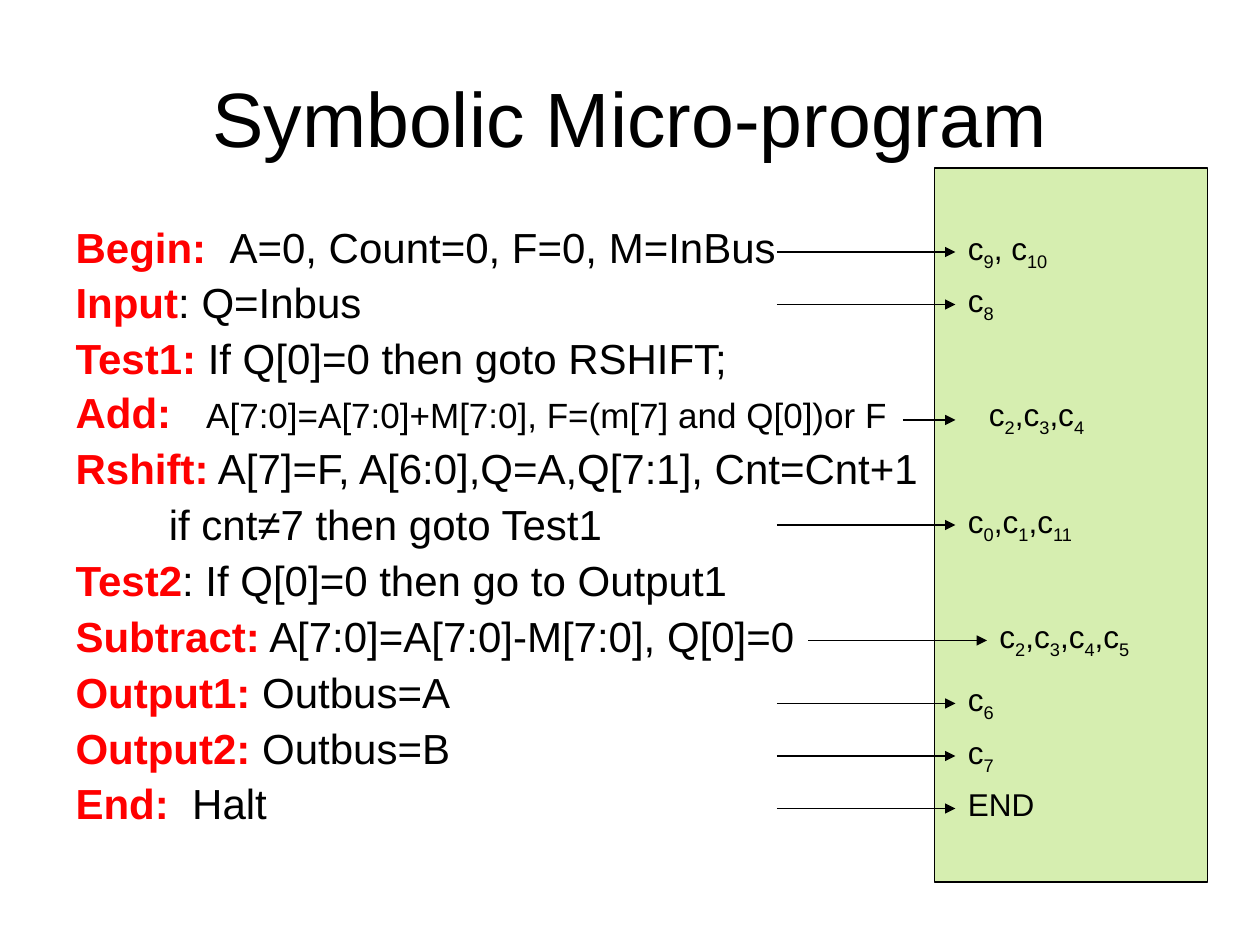
"""Build the slide that lists a symbolic micro-program with its control signals."""
from dataclasses import dataclass

from lxml import etree
from pptx import Presentation
from pptx.dml.color import RGBColor
from pptx.enum.shapes import MSO_CONNECTOR, MSO_SHAPE
from pptx.enum.text import MSO_ANCHOR, MSO_AUTO_SIZE, PP_ALIGN
from pptx.oxml.ns import qn
from pptx.shapes.autoshape import Shape
from pptx.shapes.shapetree import GroupShapes, SlideShapes
from pptx.slide import Slide
from pptx.text.text import Font, TextFrame
from pptx.util import Pt

STRAIGHT = MSO_CONNECTOR.STRAIGHT
RECT = MSO_SHAPE.RECTANGLE
TOP, MIDDLE = MSO_ANCHOR.TOP, MSO_ANCHOR.MIDDLE
FIXED = MSO_AUTO_SIZE.NONE
LEFT, CENTER = PP_ALIGN.LEFT, PP_ALIGN.CENTER


@dataclass(frozen=True)
class Theme:
    """Colours, face and type sizes."""
    ink: RGBColor = RGBColor(0, 0, 0)
    label: RGBColor = RGBColor(0xFF, 0, 0)
    panel: RGBColor = RGBColor(0xD6, 0xEE, 0xB0)
    face: str = "Arial"
    title: float = 44
    code: float = 24
    small: float = 20
    signal: float = 18
    stroke: float = 0.75


THEME = Theme()


@dataclass(frozen=True)
class Step:
    """One program line; a gap widens the space after the label by that many points."""
    label: str
    code: str
    size: float = THEME.code
    gap: float = 0
    indent: float = 0


@dataclass(frozen=True)
class Signal:
    """One arrow and its signals, with bars around each subscript."""
    text: str
    y: float
    start: float = 444
    tip: float = 546
    left: float = 546
    width: float = 132
    rise: float = 16.75
    group: bool = True


STEPS = (
    Step("Begin:", "A=0, Count=0, F=0, M=InBus", gap=6.67),
    Step("Input", ": Q=Inbus"),
    Step("Test1:", " If Q[0]=0 then goto RSHIFT;"),
    Step("Add:", "A[7:0]=A[7:0]+M[7:0], F=(m[7] and Q[0])or F", THEME.small, gap=13.33),
    Step("Rshift:", " A[7]=F, A[6:0],Q=A,Q[7:1], Cnt=Cnt+1"),
    Step("", "if cnt≠7 then goto Test1", indent=53.3),
    Step("Test2", ": If Q[0]=0 then go to Output1"),
    Step("Subtract:", " A[7:0]=A[7:0]-M[7:0], Q[0]=0"),
    Step("Output1:", " Outbus=A"),
    Step("Output2:", " Outbus=B"),
    Step("End:", "Halt", gap=6.67),
)

SIGNALS = (
    Signal("c|9|, c|10", 144),
    Signal("c|8", 174),
    Signal("c|0|,c|1|,c|11", 300),
    Signal("c|2|,c|3|,c|4|,c|5", 366, start=462, tip=564, left=564),
    Signal("c|6", 402),
    Signal("c|7", 432),
    Signal("END", 462),
    Signal("c|2|,c|3|,c|4", 240, start=516, left=558, width=90, rise=18, group=False),
)


def style(font: Font, size: float) -> None:
    """Set the face, size and ink of a font."""
    font.name = THEME.face
    font.size = Pt(size)
    font.color.rgb = THEME.ink


def place(shape: Shape, left: float, top: float, width: float, height: float) -> None:
    """Move and size a shape."""
    shape.left, shape.top = Pt(left), Pt(top)
    shape.width, shape.height = Pt(width), Pt(height)


def draw_title(slide: Slide) -> None:
    """Fill the title."""
    title = slide.shapes.title
    place(title, 36, 21.6, 648, 90)
    frame = title.text_frame
    frame.text = "Symbolic Micro-program"
    frame.auto_size = FIXED
    frame.vertical_anchor = MIDDLE
    line = frame.paragraphs[0]
    line.alignment = CENTER
    style(line.font, THEME.title)


def write_step(frame: TextFrame, row: int, step: Step) -> None:
    """Write one program line in the list."""
    line = frame.add_paragraph() if row else frame.paragraphs[0]
    props = line._p.get_or_add_pPr()
    props.set("marL", str(Pt(step.indent)))
    props.set("indent", "0")
    etree.SubElement(props, qn("a:buNone"))
    line.alignment = LEFT
    line.line_spacing = 0.9
    line.space_before = Pt(step.size / 4)
    style(line.font, THEME.code)
    if step.label:
        label = line.add_run()
        label.text = step.label
        label.font.bold = True
        label.font.color.rgb = THEME.label
    if step.gap:
        space = line.add_run()
        space.text = " "
        space._r.get_or_add_rPr().set("spc", str(round(step.gap * 100)))
    code = line.add_run()
    code.text = step.code
    if step.size != THEME.code:
        code.font.size = Pt(step.size)


def draw_steps(slide: Slide) -> None:
    """Fill the body with the program."""
    body = slide.placeholders[1]
    place(body, 36, 126, 534, 356.4)
    frame = body.text_frame
    frame.auto_size = FIXED
    frame.vertical_anchor = TOP
    for row, step in enumerate(STEPS):
        write_step(frame, row, step)


def draw_panel(slide: Slide) -> None:
    """Draw the panel behind the signals."""
    panel = slide.shapes.add_shape(RECT, Pt(534), Pt(96), Pt(156), Pt(408))
    panel.shadow.inherit = False
    panel.fill.solid()
    panel.fill.fore_color.rgb = THEME.panel
    panel.line.color.rgb = THEME.ink
    panel.line.width = Pt(THEME.stroke)


def draw_text(shapes: SlideShapes | GroupShapes, signal: Signal) -> None:
    """Write the signals with their subscripts."""
    box = shapes.add_textbox(Pt(signal.left), Pt(signal.y - signal.rise),
                             Pt(signal.width), Pt(31.7))
    frame = box.text_frame
    frame.word_wrap = True
    line = frame.paragraphs[0]
    line.space_before = Pt(11.2)
    style(line.font, THEME.signal)
    for part, text in enumerate(signal.text.split("|")):
        run = line.add_run()
        run.text = text
        if part % 2:
            run._r.get_or_add_rPr().set("baseline", "-25000")


def draw_arrow(shapes: SlideShapes | GroupShapes, signal: Signal) -> None:
    """Draw the arrow that leads to the signals."""
    arrow = shapes.add_connector(STRAIGHT, Pt(signal.start), Pt(signal.y),
                                 Pt(signal.tip), Pt(signal.y))
    arrow.line.color.rgb = THEME.ink
    arrow.line.width = Pt(THEME.stroke)
    etree.SubElement(arrow.line._get_or_add_ln(), qn("a:tailEnd"), type="triangle")
    etree.SubElement(arrow._element.spPr, qn("a:effectLst"))


def main() -> None:
    """Build and save the deck."""
    deck = Presentation()
    deck.slide_width, deck.slide_height = Pt(720), Pt(540)
    slide = deck.slides.add_slide(deck.slide_layouts[1])
    draw_title(slide)
    draw_steps(slide)
    draw_panel(slide)
    for signal in SIGNALS:
        shapes = slide.shapes.add_group_shape().shapes if signal.group else slide.shapes
        draw_text(shapes, signal)
        draw_arrow(shapes, signal)
    deck.save("out.pptx")


if __name__ == "__main__":
    main()
